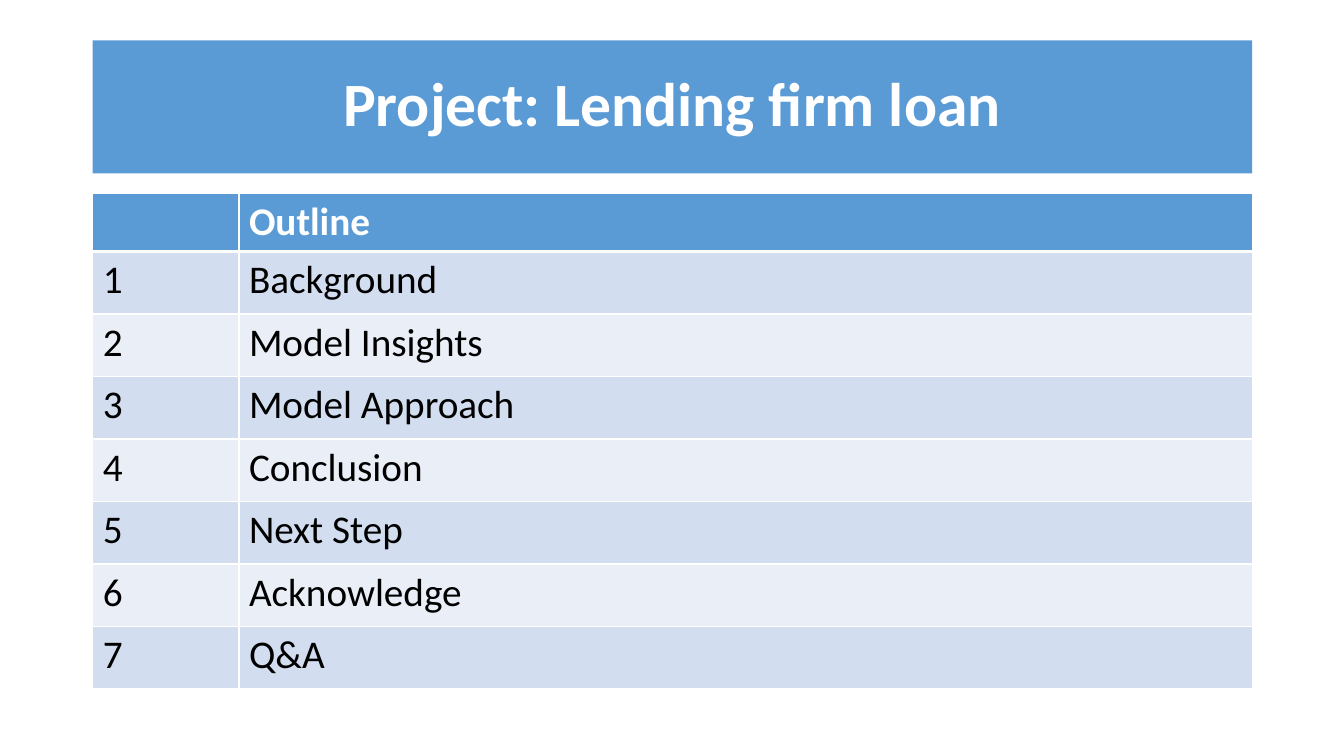
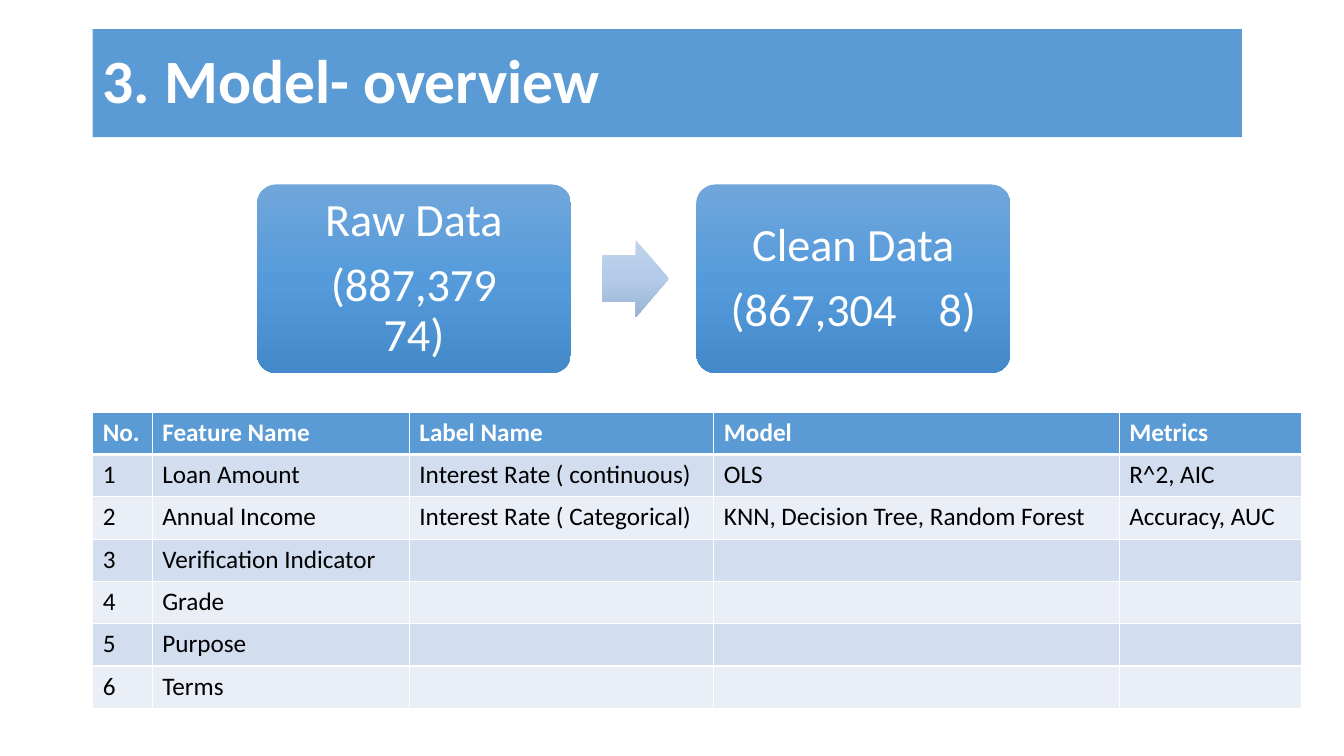
from copy import deepcopy
from dataclasses import dataclass

from lxml import etree
from pptx import Presentation
from pptx.dml.color import RGBColor
from pptx.enum.shapes import MSO_SHAPE
from pptx.enum.text import MSO_ANCHOR, MSO_AUTO_SIZE, PP_ALIGN
from pptx.oxml.ns import qn
from pptx.util import Inches, Pt

LEFT, CENTER = PP_ALIGN.LEFT, PP_ALIGN.CENTER
MIDDLE = MSO_ANCHOR.MIDDLE
ROUNDED, ARROW = MSO_SHAPE.ROUNDED_RECTANGLE, MSO_SHAPE.RIGHT_ARROW
TITLE_ONLY = 5


@dataclass(frozen=True)
class Theme:
    """Colours, type sizes (points) and shared measures."""
    font: str = "Calibri"
    accent: str = "5B9BD5"
    light: str = "FFFFFF"
    dark: str = "000000"
    bands: tuple = ("D2DEEF", "EAEFF7")
    card_fill: tuple = ("71A6DB", "559BDB", "448ACA")
    arrow_fill: tuple = ("C0D2EB", "B3CBE9", "9BB4D3")
    title_size: int = 44
    card_size: int = 33
    outline_size: int = 28
    table_size: int = 18
    line_spacing: float = 0.9
    rule: int = 1
    header_rule: int = 3
    margin: float = 6.9  # share of the slide width, in percent


class Slides:
    """Holds the style and the current page; lengths are percent of the slide."""

    def __init__(self, theme):
        self.theme = theme
        self.deck = Presentation()
        self.deck.slide_width, self.deck.slide_height = Inches(13.33), Inches(7.5)
        self.page = None

    def across(self, share):
        return round(self.deck.slide_width * share / 100)

    def down(self, share):
        return round(self.deck.slide_height * share / 100)

    def frame(self, left, top, width, height):
        return self.across(left), self.down(top), self.across(width), self.down(height)

    def style(self, para, size, color, bold=False, align=LEFT):
        para.alignment = align
        font = para.font
        font.name, font.size, font.bold = self.theme.font, Pt(size), bold
        font.color.rgb = RGBColor.from_string(color)

    def add_page(self, title, top, width, height, align=LEFT):
        """Start a page with its title band."""
        self.page = self.deck.slides.add_slide(self.deck.slide_layouts[TITLE_ONLY])
        band = self.page.shapes.title
        band.left, band.top, band.width, band.height = self.frame(
            self.theme.margin, top, width, height)
        band.fill.solid()
        band.fill.fore_color.rgb = RGBColor.from_string(self.theme.accent)
        band.text_frame.text = title
        band.text_frame.auto_size = MSO_AUTO_SIZE.NONE
        band.text_frame.vertical_anchor = MIDDLE
        para = band.text_frame.paragraphs[0]
        para.line_spacing = self.theme.line_spacing
        self.style(para, self.theme.title_size, self.theme.light, True, align)

    def add_borders(self, cell, top, bottom):
        weights = {"L": self.theme.rule, "R": self.theme.rule, "T": top, "B": bottom}
        properties = cell._tc.get_or_add_tcPr()
        for side, weight in weights.items():
            line = etree.SubElement(properties, qn(f"a:ln{side}"), w=str(Pt(weight)))
            fill = etree.SubElement(line, qn("a:solidFill"))
            etree.SubElement(fill, qn("a:srgbClr"), val=self.theme.light)

    def add_table(self, rows, top, columns, heights, size):
        """Banded table; short rows leave their last cells empty."""
        theme = self.theme
        table = self.page.shapes.add_table(
            len(rows), len(columns),
            *self.frame(theme.margin, top, sum(columns), sum(heights))).table
        for column, width in zip(table.columns, columns):
            column.width = self.across(width)
        for row, height in zip(table.rows, heights):
            row.height = self.down(height)
        for i, texts in enumerate(rows):
            header = i == 0
            fill = theme.accent if header else theme.bands[(i - 1) % 2]
            color = theme.light if header else theme.dark
            for j in range(len(columns)):
                cell = table.cell(i, j)
                self.add_borders(cell,
                                 theme.header_rule if i == 1 else theme.rule,
                                 theme.header_rule if header else theme.rule)
                cell.fill.solid()
                cell.fill.fore_color.rgb = RGBColor.from_string(fill)
                if j < len(texts):
                    cell.text_frame.text = texts[j]
                self.style(cell.text_frame.paragraphs[0], size, color, header)

    def add_gradient_shape(self, kind, adjustments, colors, *place):
        """Preset shape with an even top-to-bottom gradient and no outline."""
        shape = self.page.shapes.add_shape(kind, *self.frame(*place))
        shape.shadow.inherit = False
        for index, value in enumerate(adjustments):
            shape.adjustments[index] = value
        shape.line.fill.background()
        shape.fill.gradient()
        shape.fill.gradient_angle = 270
        stop_list = shape._element.spPr.find(".//" + qn("a:gsLst"))
        stop_list.append(deepcopy(stop_list[0]))
        for index, (stop, color) in enumerate(zip(shape.fill.gradient_stops, colors)):
            stop.position = index / (len(colors) - 1)
            stop.color.rgb = RGBColor.from_string(color)
        return shape

    def add_card(self, heading, size_pair, *place):
        """Rounded card: a heading over a pair of numbers set apart."""
        theme = self.theme
        box = self.add_gradient_shape(ROUNDED, [0.1], theme.card_fill, *place)
        text = box.text_frame
        text.word_wrap, text.vertical_anchor = True, MIDDLE
        text.margin_left = text.margin_right = Inches(0.19)
        text.margin_top = text.margin_bottom = Inches(0.19)
        text.text = heading
        numbers = text.add_paragraph()
        numbers.space_before = Pt(11)
        spans = []
        for part in (f"({size_pair[0]}", " ", f"{size_pair[1]})"):
            spans.append(numbers.add_run())
            spans[-1].text = part
        # Widen the single space between the numbers (hundredths of a point)
        spans[1]._r.get_or_add_rPr().set("spc", "2240")
        for para in text.paragraphs:
            para.line_spacing = theme.line_spacing
            self.style(para, theme.card_size, theme.light, align=CENTER)

    def add_flow(self, cards, left, top, width, height):
        """Cards in a row with an arrow in each gap."""
        gap = 0.4 * width
        arrow_width, arrow_height = 4.95, 10.27
        for index, (heading, size_pair) in enumerate(cards):
            x = left + index * (width + gap)
            self.add_card(heading, size_pair, x, top, width, height)
            if index:
                self.add_gradient_shape(
                    ARROW, [0.6, 0.5], self.theme.arrow_fill, x - 0.75 * gap,
                    top + (height - arrow_height) / 2, arrow_width, arrow_height)


def main():
    theme = Theme()
    slides = Slides(theme)

    # Outline
    slides.add_page("Project: Lending firm loan", 5.33, 86.27, 17.6, CENTER)
    topics = ["Background", "Model Insights", "Model Approach", "Conclusion",
              "Next Step", "Acknowledge", "Q&A"]
    outline = [("", "Outline")]
    outline += [(str(number), topic) for number, topic in enumerate(topics, 1)]
    slides.add_table(outline, 25.6, [10.88, 75.39],
                     [7.6] + [8.27] * len(topics), theme.outline_size)

    # Model overview
    slides.add_page("3. Model- overview", 3.87, 85.5, 14.27)
    features = [
        ("No.", "Feature Name", "Label Name", "Model", "Metrics"),
        ("1", "Loan Amount", "Interest Rate ( continuous)", "OLS", "R^2, AIC"),
        ("2", "Annual Income", "Interest Rate ( Categorical)",
         "KNN, Decision Tree, Random Forest", "Accuracy, AUC"),
        ("3", "Verification Indicator"),
        ("4", "Grade"),
        ("5", "Purpose"),
        ("6", "Terms"),
    ]
    slides.add_table(features, 54.53, [4.43, 19.13, 22.66, 30.16, 13.58],
                     [5.6] * len(features), theme.table_size)
    slides.add_flow([("Raw Data", ("887,379", "74")),
                     ("Clean Data", ("867,304", "8"))], 19.13, 24.4, 23.35, 24.93)

    slides.deck.save("out.pptx")


if __name__ == "__main__":
    main()
